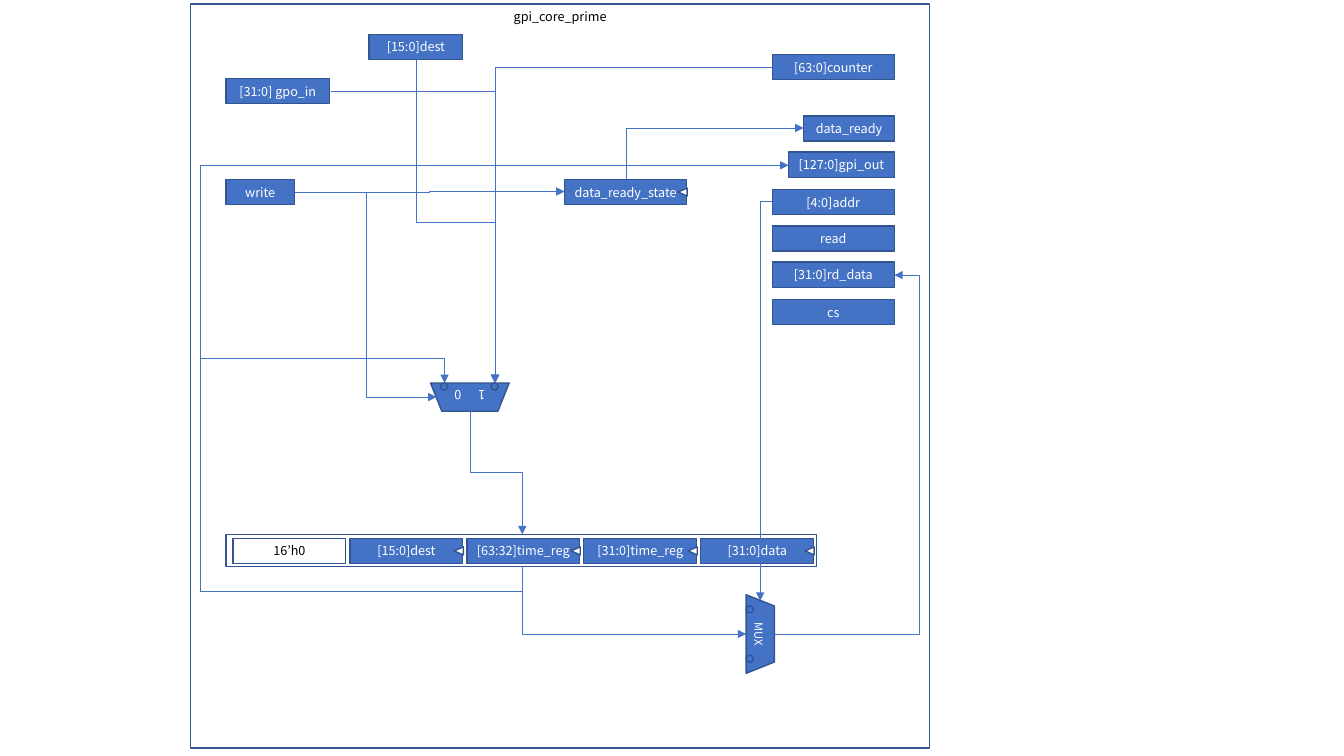
from pptx import Presentation
from pptx.dml.color import RGBColor
from pptx.enum.shapes import MSO_CONNECTOR, MSO_SHAPE
from pptx.enum.text import MSO_ANCHOR, PP_ALIGN
from pptx.oxml.ns import qn
from pptx.util import Inches, Pt
from lxml import etree

RECTANGLE = MSO_SHAPE.RECTANGLE
TRIANGLE = MSO_SHAPE.ISOSCELES_TRIANGLE
TRAPEZOID = MSO_SHAPE.TRAPEZOID
OVAL = MSO_SHAPE.OVAL
ELBOW = MSO_CONNECTOR.ELBOW
MIDDLE = MSO_ANCHOR.MIDDLE
TOP = MSO_ANCHOR.TOP
CENTER = PP_ALIGN.CENTER

BLUE = RGBColor(0x44, 0x72, 0xC4)
DARK_BLUE = RGBColor(0x32, 0x54, 0x91)
WHITE = RGBColor(0xFF, 0xFF, 0xFF)
BLACK = RGBColor(0x00, 0x00, 0x00)

BOX_HEIGHT = 0.25
PORT_RIGHT = 8.87
REGISTER_LEFT = 2.31
REGISTER_PITCH = 1.16
REGISTER_WIDTH = 1.12
REGISTER_TOP = 5.34

LEFT_PORTS = [
    ("[31:0] gpo_in", 2.24, 0.78, 1.03),
    ("write", 2.24, 1.78, 0.68),
    ("[15:0]dest", 3.66, 0.34, 0.93),
]
RIGHT_PORTS = [
    ("[63:0]counter", 0.54, 1.21),
    ("data_ready", 1.15, 0.9),
    ("[127:0]gpi_out", 1.51, 1.05),
    ("[4:0]addr", 1.88, 1.21),
    ("read", 2.24, 1.21),
    ("[31:0]rd_data", 2.6, 1.21),
    ("cs", 2.97, 1.21),
]
REGISTERS = ["[15:0]dest", "[63:32]time_reg", "[31:0]time_reg", "[31:0]data"]
WIRES = [
    [(3.28, 0.91), (4.91, 0.91), (4.91, 3.8)],
    [(4.13, 0.59), (4.13, 2.2), (4.91, 2.2), (4.91, 3.8)],
    [(7.66, 0.67), (4.91, 0.67), (4.91, 3.8)],
    [(2.93, 1.91), (3.63, 1.91), (3.63, 3.94), (4.33, 3.94)],
    [(4.66, 4.08), (4.66, 4.69), (5.18, 4.69), (5.18, 5.3)],
    [(5.18, 5.62), (5.18, 5.87), (1.99, 5.87), (1.99, 3.55), (4.41, 3.55), (4.41, 3.8)],
    [(2.93, 1.91), (4.26, 1.91), (4.26, 1.9), (5.6, 1.9)],
    [(6.21, 1.78), (6.21, 1.27), (7.97, 1.27)],
    [(5.18, 5.62), (5.18, 6.29), (7.4, 6.29)],
    [(7.68, 6.29), (9.12, 6.29), (9.12, 2.73), (8.87, 2.73)],
    [(7.66, 2), (7.54, 2), (7.54, 5.96)],
    [(5.18, 5.62), (5.18, 5.87), (1.99, 5.87), (1.99, 1.64), (7.82, 1.64)],
]


class Diagram:
    font_name = "Noto Sans CJK KR"

    def __init__(self, slide):
        self.slide = slide

    def block(self, kind, left, top, width, height, fill=BLUE, rotation=0):
        shape = self.slide.shapes.add_shape(
            kind, Inches(left), Inches(top), Inches(width), Inches(height))
        shape.shadow.inherit = False
        shape.rotation = rotation
        if fill is None:
            shape.fill.background()
        else:
            shape.fill.solid()
            shape.fill.fore_color.rgb = fill
        shape.line.color.rgb = DARK_BLUE
        shape.line.width = Pt(1)
        return shape

    def label(self, shape, parts, color=WHITE, size=9, anchor=MIDDLE):
        frame = shape.text_frame
        frame.word_wrap = True
        frame.margin_left = frame.margin_right = 0
        frame.vertical_anchor = anchor
        paragraph = frame.paragraphs[0]
        paragraph.alignment = CENTER
        for part in parts:
            run = paragraph.add_run()
            run.text = part
            run.font.name = self.font_name
            run.font.size = Pt(size)
            run.font.color.rgb = color
        return paragraph

    def box(self, text, left, top, width):
        self.label(self.block(RECTANGLE, left, top, width, BOX_HEIGHT), [text])

    def register(self, text, left, top, width):
        self.box(text, left, top, width)
        self.block(TRIANGLE, left + width - 0.08, top + 0.08, 0.08, 0.09, WHITE, 270)

    def selector(self, left, top, rotation, parts, size, inputs):
        trapezoid = self.block(TRAPEZOID, left, top, 0.78, 0.28, rotation=rotation)
        trapezoid.adjustments[0] = 0.4
        for input_left, input_top in inputs:
            self.block(OVAL, input_left, input_top, 0.07, 0.07, rotation=rotation)
        return self.label(trapezoid, parts, size=size)

    def wire(self, points):
        start, end = points[0], points[-1]
        delta = [end[0] - start[0], end[1] - start[1]]
        axis = 0 if points[1][1] == start[1] else 1
        center = [(start[0] + end[0]) / 2, (start[1] + end[1]) / 2]
        length, breadth = abs(delta[axis]), abs(delta[1 - axis])
        left, top = center[0] - length / 2, center[1] - breadth / 2
        connector = self.slide.shapes.add_connector(
            ELBOW, Inches(left), Inches(top), Inches(left + length), Inches(top + breadth))
        connector.line.color.rgb = BLUE
        connector.line.width = Pt(0.5)

        if axis == 0:
            rotation = 0 if delta[0] > 0 else 180
        else:
            rotation = 270 if delta[1] > 0 else 90
        properties = connector._element.spPr
        transform = properties.find(qn("a:xfrm"))
        transform.set("rot", str(rotation * 60000))
        transform.set("flipH", str(axis))
        transform.set("flipV", str(int(delta[0] * delta[1] < 0)))

        geometry = properties.find(qn("a:prstGeom"))
        geometry.set("prst", f"bentConnector{len(points) - 1}")
        guides = geometry.find(qn("a:avLst"))
        for index, point in enumerate(points[1:-2], 1):
            side = axis if index % 2 else 1 - axis
            ratio = (point[side] - start[side]) / delta[side]
            etree.SubElement(guides, qn("a:gd"), name=f"adj{index}",
                             fmla=f"val {round(ratio * 100000)}")
        etree.SubElement(properties.find(qn("a:ln")), qn("a:tailEnd"), type="triangle")
        etree.SubElement(properties, qn("a:effectLst"))


def main():
    presentation = Presentation()
    presentation.slide_width = Inches(13.33)
    presentation.slide_height = Inches(7.5)
    diagram = Diagram(presentation.slides.add_slide(presentation.slide_layouts[6]))

    core = diagram.block(RECTANGLE, 1.89, 0.04, 7.33, 7.38, None)
    diagram.label(core, ["gpi_core_prime"], BLACK, anchor=TOP)
    for text, left, top, width in LEFT_PORTS:
        diagram.box(text, left, top, width)
    for text, top, width in RIGHT_PORTS:
        diagram.box(text, PORT_RIGHT - width, top, width)

    diagram.block(RECTANGLE, 2.24, 5.3, 5.86, 0.32, None)
    padding = diagram.block(
        RECTANGLE, REGISTER_LEFT, REGISTER_TOP, REGISTER_WIDTH, BOX_HEIGHT, None)
    diagram.label(padding, ["16’h0"], BLACK)
    for index, text in enumerate(REGISTERS, 1):
        diagram.register(
            text, REGISTER_LEFT + index * REGISTER_PITCH, REGISTER_TOP, REGISTER_WIDTH)
    diagram.register("data_ready_state", 5.6, 1.78, 1.21)

    digits = diagram.selector(
        4.27, 3.8, 180, ["1", " ", "0"], 9, [(4.37, 3.8), (4.87, 3.8)])
    digits.runs[1]._r.get_or_add_rPr().set("spc", "1000")
    diagram.selector(7.15, 6.15, 90, ["MUX"], 8, [(7.4, 6.5), (7.4, 6.01)])

    for points in WIRES:
        diagram.wire(points)
    presentation.save("out.pptx")


if __name__ == "__main__":
    main()
